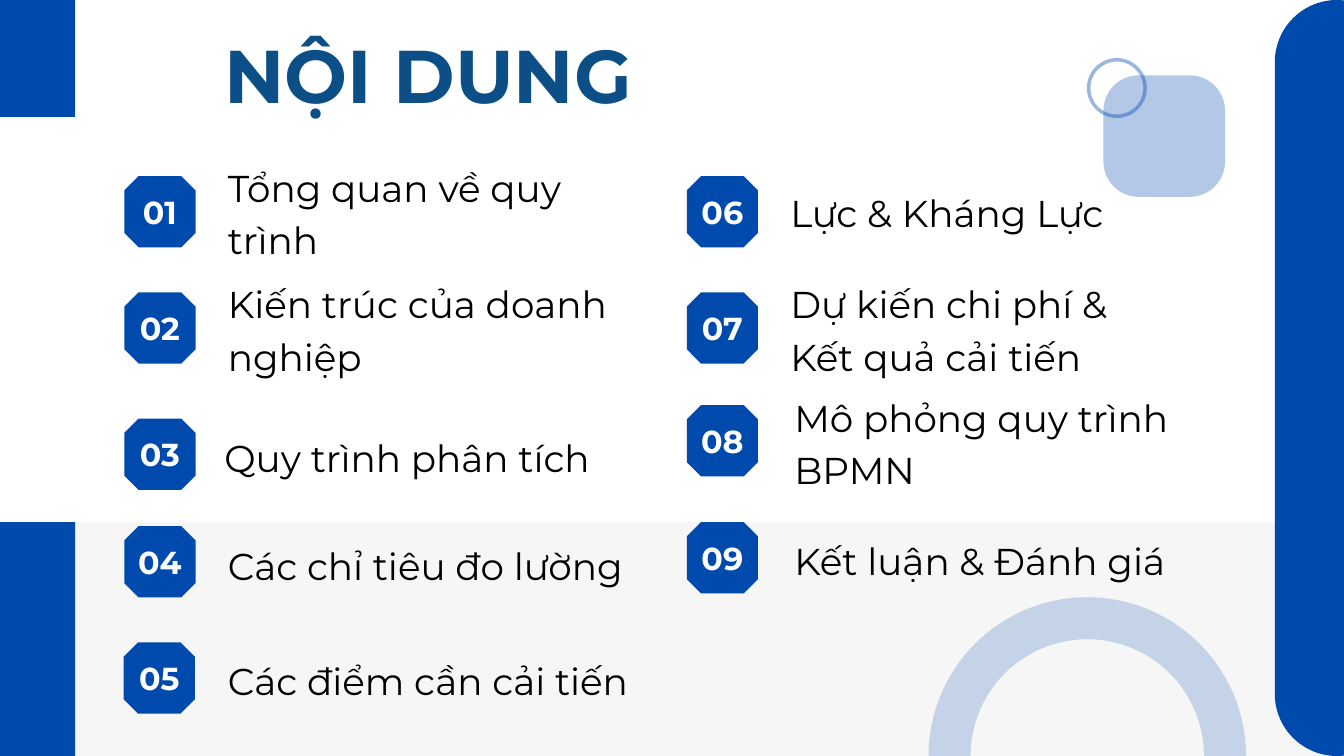
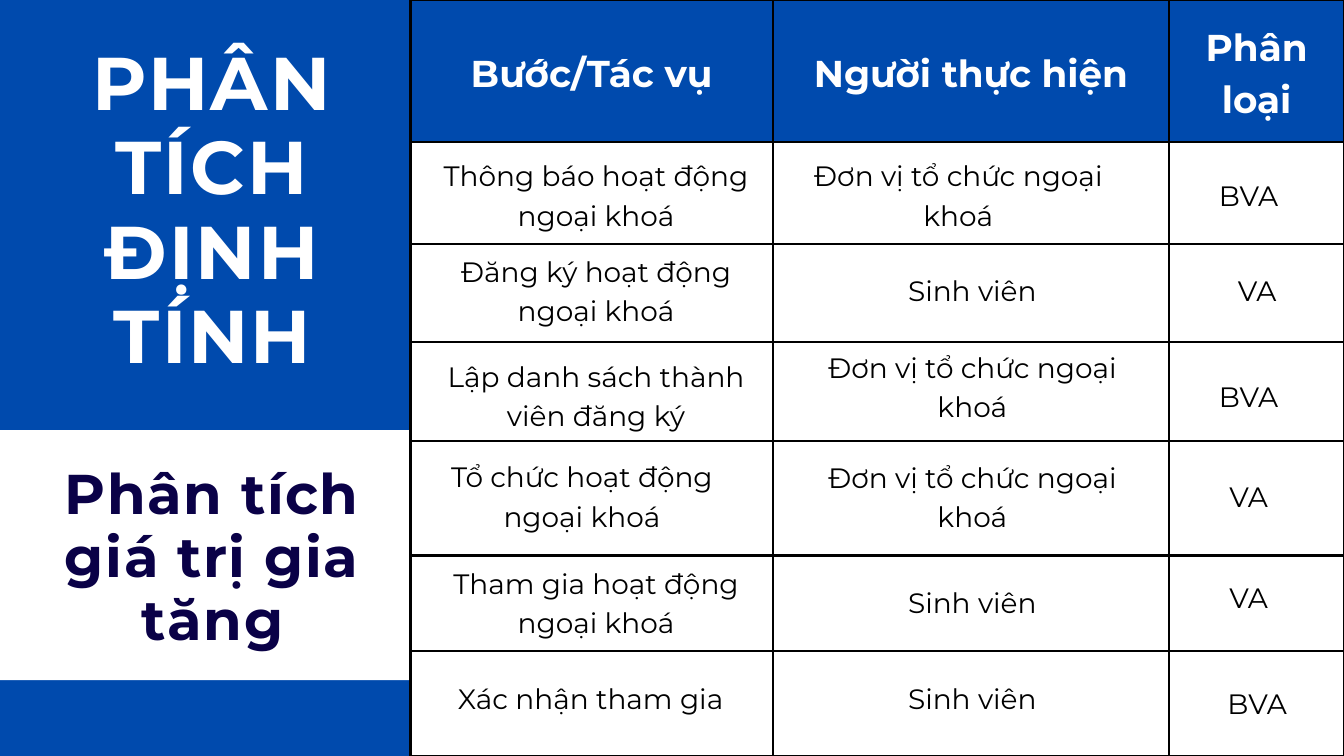
from lxml.etree import SubElement
from pptx import Presentation
from pptx.dml.color import RGBColor
from pptx.enum.shapes import MSO_SHAPE as Preset
from pptx.enum.text import MSO_ANCHOR as Anchor, MSO_AUTO_SIZE as AutoSize, PP_ALIGN as Align
from pptx.oxml.ns import qn
from pptx.util import Inches, Pt

COLORS = {
    "blue": "004AAD",
    "title": "0C4F86",
    "navy": "0A0147",
    "pale": "F6F6F6",
    "white": "FFFFFF",
    "black": "000000",
}
FONT = "Montserrat"
STYLES = {
    "title": {"size": 80, "color": "title", "bold": True, "leading": 112},
    "badge": {"size": 34, "color": "white", "bold": True, "leading": 47.6, "align": Align.CENTER},
    "topic": {"size": 40, "color": "black", "leading": 56},
    "heading": {"size": 80, "color": "white", "bold": True, "leading": 90.4,
                "align": Align.CENTER, "tracking": 220},
    "subheading": {"size": 60, "color": "navy", "bold": True, "leading": 67.8,
                   "align": Align.CENTER, "tracking": 170},
    "header": {"size": 40, "color": "white", "bold": True, "leading": 56, "align": Align.CENTER},
    "entry": {"size": 30, "color": "black", "leading": 42, "align": Align.CENTER},
}
BADGE_SIZE = 1.06
LINE_HEIGHTS = {"topic": (0.73, 1.5), "entry": (0.56, 1.15)}

TOPICS = [
    (1.85, 2.62, 3.39, 2.34, 5.95, 2, "Tổng quan về quy trình"),
    (1.85, 4.35, 3.39, 4.08, 7.01, 2, "Kiến trúc của doanh nghiệp"),
    (1.85, 6.23, 3.34, 6.36, 5.95, 1, "Quy trình phân tích"),
    (1.85, 7.83, 3.39, 7.97, 5.95, 1, "Các chỉ tiêu đo lường"),
    (1.84, 9.56, 3.39, 9.69, 6.61, 1, "Các điểm cần cải tiến"),
    (10.22, 2.62, 11.76, 2.72, 5.29, 1, "Lực & Kháng Lực"),
    (10.22, 4.35, 11.76, 4.08, 5.41, 2, "Dự kiến chi phí & Kết quả cải tiến"),
    (10.22, 6.03, 11.82, 5.77, 6.95, 2, "Mô phỏng quy trình BPMN"),
    (10.22, 7.77, 11.82, 7.9, 6.02, 1, "Kết luận & Đánh giá"),
]

HEADERS = ["Bước/Tác vụ", "Người thực hiện", "Phân loại"]
COLUMN_WIDTHS = [5.39, 5.9, 2.6]
ROW_HEIGHTS = [2.11, 1.52, 1.46, 1.47, 1.71, 1.42, 1.56]
ORGANIZER = "Đơn vị tổ chức ngoại khoá"
STUDENT = "Sinh viên"
STEPS = [
    [(6.24, 2.28, 5.26, 2, "Thông báo hoạt động ngoại khoá"),
     (11.63, 2.28, 5.26, 2, ORGANIZER), (17.88, 2.57, 1.4, 1, "BVA")],
    [(6.32, 3.7, 5.1, 2, "Đăng ký hoạt động ngoại khoá"),
     (11.84, 3.99, 5.26, 1, STUDENT), (18.01, 3.99, 1.4, 1, "VA")],
    [(6.32, 5.27, 5.1, 2, "Lập danh sách thành viên đăng ký"),
     (11.84, 5.13, 5.26, 2, ORGANIZER), (17.88, 5.56, 1.4, 1, "BVA")],
    [(6.11, 6.76, 5.1, 2, "Tổ chức hoạt động ngoại khoá"),
     (11.84, 6.77, 5.26, 2, ORGANIZER), (17.88, 7.06, 1.4, 1, "VA")],
    [(6.32, 8.34, 5.1, 2, "Tham gia hoạt động ngoại khoá"),
     (11.84, 8.63, 5.26, 1, STUDENT), (17.88, 8.56, 1.4, 1, "VA")],
    [(6.24, 10.06, 5.1, 1, "Xác nhận tham gia"),
     (11.84, 10.06, 5.26, 1, STUDENT), (18.01, 10.14, 1.4, 1, "BVA")],
]


def rgb(name):
    return RGBColor.from_string(COLORS[name])


def set_values(target, values):
    for name, value in values.items():
        setattr(target, name, value)


def set_margins(target, size):
    for side in ("left", "top", "right", "bottom"):
        setattr(target, f"margin_{side}", Inches(size))


def paint(fill, color, opacity=100):
    fill.solid()
    fill.fore_color.rgb = rgb(color)
    if opacity < 100:
        color_node = fill._xPr.find(qn("a:solidFill"))[0]
        SubElement(color_node, qn("a:alpha"), val=str(opacity * 1000))


def write(frame, text, style_name):
    style = STYLES[style_name]
    para = frame.paragraphs[0]
    set_values(para, {"alignment": style.get("align", Align.LEFT),
                      "line_spacing": Pt(style["leading"])})
    span = para.add_run()
    span.text = text
    set_values(span.font, {"name": FONT, "size": Pt(style["size"]),
                           "bold": style.get("bold", False)})
    span.font.color.rgb = rgb(style["color"])
    if "tracking" in style:
        span._r.get_or_add_rPr().set("spc", str(style["tracking"]))


def add_text(page, area, text, style_name):
    box = page.shapes.add_textbox(*map(Inches, area))
    frame = box.text_frame
    set_margins(frame, 0)
    set_values(frame, {"word_wrap": True, "auto_size": AutoSize.SHAPE_TO_FIT_TEXT})
    write(frame, text, style_name)


def add_lines(page, left, top, width, line_count, text, style_name):
    height = LINE_HEIGHTS[style_name][line_count - 1]
    add_text(page, (left, top, width, height), text, style_name)


def add_block(page, area, color, preset=Preset.RECTANGLE, corner=None, opacity=100):
    block = page.shapes.add_shape(preset, *map(Inches, area))
    block.shadow.inherit = False
    block.line.fill.background()
    paint(block.fill, color, opacity)
    if corner is not None:
        block.adjustments[0] = corner
    return block


def add_ring(page, left, top, size, weight, opacity):
    ring = page.shapes.add_shape(Preset.OVAL, *map(Inches, (left, top, size, size)))
    ring.shadow.inherit = False
    ring.fill.background()
    ring.line.width = Pt(weight)
    paint(ring.line.fill, "blue", opacity)


def add_badge(page, left, top, number):
    badge = add_block(page, (left, top, BADGE_SIZE, BADGE_SIZE), "blue", Preset.OCTAGON, 0.2)
    frame = badge.text_frame
    set_margins(frame, 0)
    set_values(frame, {"margin_bottom": Inches(0.1), "word_wrap": False,
                       "vertical_anchor": Anchor.MIDDLE})
    write(frame, f"{number:02d}", "badge")


def add_borders(cell):
    properties = cell._tc.get_or_add_tcPr()
    for side in ("lnL", "lnR", "lnT", "lnB"):
        line = SubElement(properties, qn(f"a:{side}"), w=str(Pt(3)))
        fill = SubElement(line, qn("a:solidFill"))
        SubElement(fill, qn("a:srgbClr"), val=COLORS["black"])


def add_step_table(page):
    area = (6.11, 0, sum(COLUMN_WIDTHS), sum(ROW_HEIGHTS))
    holder = page.shapes.add_table(len(ROW_HEIGHTS), len(HEADERS), *map(Inches, area))
    table = holder.table
    set_values(table, {"first_row": False, "horz_banding": False})
    for column, width in zip(table.columns, COLUMN_WIDTHS):
        column.width = Inches(width)
    for row, height in zip(table.rows, ROW_HEIGHTS):
        row.height = Inches(height)
    for cell in table.iter_cells():
        add_borders(cell)
        set_margins(cell, 0.21)
        cell.vertical_anchor = Anchor.MIDDLE
        cell.fill.background()
    for cell, header in zip(table.rows[0].cells, HEADERS):
        paint(cell.fill, "blue")
        write(cell.text_frame, header, "header")


def build_contents(page):
    add_block(page, (0.98, 7.77, 19.02, 3.48), "pale")
    add_block(page, (18.97, 0, 1.85, 11.25), "blue", Preset.ROUNDED_RECTANGLE, 0.5)
    for top, height in ((7.77, 3.48), (0, 1.74)):
        add_block(page, (0, top, 1.12, height), "blue")
    add_text(page, (3.34, 0.2, 6.88, 1.5), "NỘI DUNG", "title")
    add_block(page, (16.42, 1.12, 1.81, 1.81), "blue", Preset.ROUNDED_RECTANGLE, 0.29, 30)
    add_ring(page, 16.2, 0.89, 0.84, 3.75, 40)
    add_ring(page, 14.13, 9.2, 4.1, 45, 20)
    for number, (badge_left, badge_top, *label) in enumerate(TOPICS, 1):
        add_badge(page, badge_left, badge_top, number)
        add_lines(page, *label, "topic")


def build_analysis(page):
    add_block(page, (-0.73, 0, 6.84, 11.25), "blue")
    add_block(page, (-0.61, 6.4, 6.72, 3.72), "white")
    add_text(page, (0.22, 0.61, 5.89, 5.02), "PHÂN TÍCH ĐỊNH TÍNH", "heading")
    add_text(page, (0.22, 6.88, 5.89, 2.82), "Phân tích giá trị gia tăng", "subheading")
    add_step_table(page)
    for step in STEPS:
        for entry in step:
            add_lines(page, *entry, "entry")


def main():
    deck = Presentation()
    set_values(deck, {"slide_width": Inches(20), "slide_height": Inches(11.25)})
    for build in (build_contents, build_analysis):
        build(deck.slides.add_slide(deck.slide_layouts[6]))
    deck.save("out.pptx")


if __name__ == "__main__":
    main()
